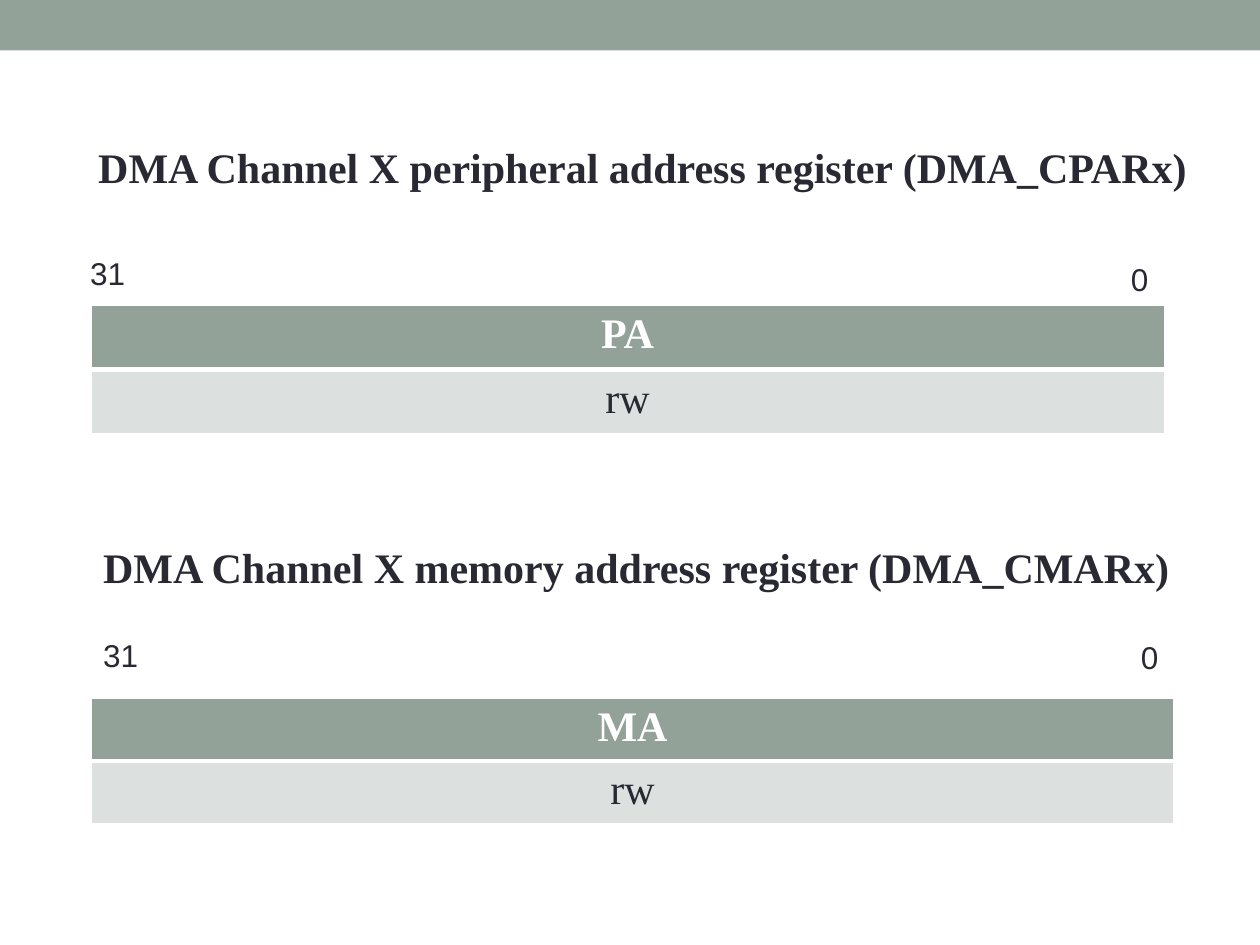
from lxml import etree
from pptx import Presentation
from pptx.dml.color import RGBColor
from pptx.enum import shapes, text
from pptx.oxml import ns
from pptx.util import Cm, Pt

SAGE = RGBColor(0x93, 0xA2, 0x99)
PALE = RGBColor(0xDC, 0xE0, 0xDE)
INK = RGBColor(0x29, 0x29, 0x34)
WHITE = RGBColor(0xFF, 0xFF, 0xFF)
SERIF, SANS = "Times New Roman", "Arial"


def add_run(p, words, size, font, color, bold=False):
    """Add one formatted run to a paragraph."""
    r = p.add_run()
    r.text = words
    r.font.size, r.font.name, r.font.bold = Pt(size), font, bold
    r.font.color.rgb = color


def add_label(s, left, top, width, height, words, size, font, bold=False):
    """Add a one-line text box, lengths in centimetres."""
    tf = s.shapes.add_textbox(Cm(left), Cm(top), Cm(width), Cm(height)).text_frame
    tf.word_wrap = True
    add_run(tf.paragraphs[0], words, size, font, INK, bold)


def set_borders(cell, **widths):
    """Give a cell white borders, widths in points, in schema order."""
    tc_pr = cell._tc.get_or_add_tcPr()
    for i, side in enumerate(("L", "R", "T", "B")):
        ln = etree.Element(ns.qn("a:ln" + side), w=str(Pt(widths.get(side, 1))))
        fill = etree.SubElement(ln, ns.qn("a:solidFill"))
        etree.SubElement(fill, ns.qn("a:srgbClr"), val=str(WHITE))
        tc_pr.insert(i, ln)


def add_field_table(s, left, top, width, row_height, field):
    """Add the two-row table: field name above its access mode."""
    tbl = s.shapes.add_table(2, 1, Cm(left), Cm(top), Cm(width), Cm(2 * row_height)).table
    rows = ((field, SAGE, WHITE, True, {"B": 3}), ("rw", PALE, INK, False, {"T": 3}))
    for i, (words, fill, color, bold, borders) in enumerate(rows):
        tbl.rows[i].height = Cm(row_height)
        cell = tbl.cell(i, 0)
        cell.fill.solid()
        cell.fill.fore_color.rgb = fill
        set_borders(cell, **borders)
        p = cell.text_frame.paragraphs[0]
        p.alignment = text.PP_ALIGN.CENTER
        add_run(p, words, 24, SERIF, color, bold)


def add_register(s, box, title, field, title_dx, high_bit, low_dy, table_dy):
    """Add a register: title, bit numbers and table, relative to its box."""
    left, top, width, row_height = box
    high_dx, high_dy = high_bit
    add_label(s, left + title_dx, top, 22.65, 1.27, title, 24, SERIF, True)
    add_field_table(s, left, top + table_dy, width, row_height, field)
    add_label(s, left + high_dx, top + high_dy, 2, 1.02, "31", 18, SANS)
    add_label(s, left + width - 0.92, top + low_dy, 1.2, 1.02, "0", 18, SANS)


def add_top_band(s, width, height):
    """Add the coloured band along the top edge."""
    sp = s.shapes.add_shape(shapes.MSO_SHAPE.RECTANGLE, 0, 0, width, height)
    sp.shadow.inherit = False
    sp.fill.solid()
    sp.fill.fore_color.rgb = SAGE
    sp.line.fill.background()


prs = Presentation()
prs.slide_width, prs.slide_height = Cm(25.4), Cm(19.05)
s = prs.slides.add_slide(prs.slide_layouts[6])
add_top_band(s, prs.slide_width, Cm(1.02))
add_register(s, (1.83, 2.72, 21.64, 1.3),
             "DMA Channel X peripheral address register (DMA_CPARx)", "PA",
             title_dx=-0.1, high_bit=(-0.26, 2.28), low_dy=2.39, table_dy=3.43)
add_register(s, (1.83, 10.8, 21.84, 1.27),
             "DMA Channel X memory address register (DMA_CMARx)", "MA",
             title_dx=0, high_bit=(0, 1.9), low_dy=1.93, table_dy=3.27)
prs.save("out.pptx")
